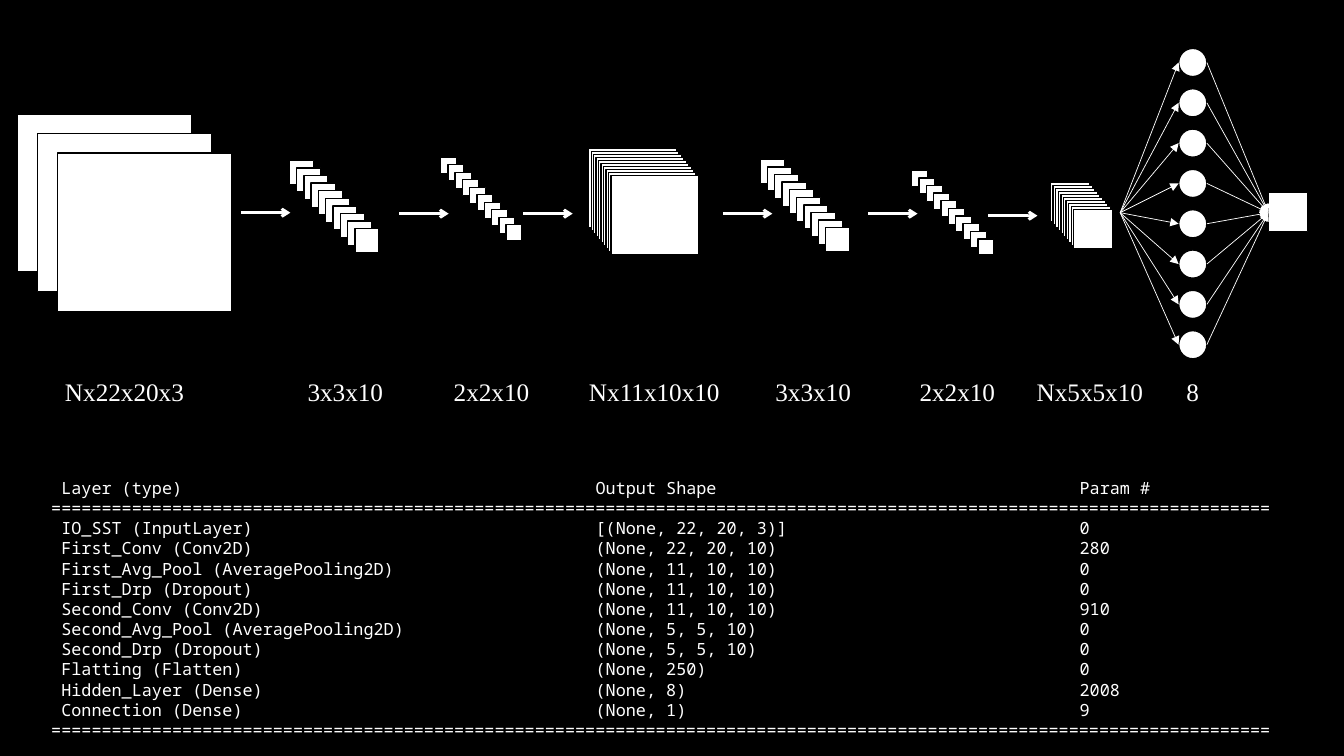
from lxml.etree import SubElement
from pptx import Presentation
from pptx.dml.color import RGBColor
from pptx.enum.shapes import MSO_CONNECTOR, MSO_SHAPE
from pptx.enum.text import MSO_AUTO_SIZE, PP_ALIGN
from pptx.oxml.ns import qn
from pptx.util import Pt

EMU_PER_PX = 9144  # 100 px to the inch
WHITE = RGBColor(0xFF, 0xFF, 0xFF)
BLACK = RGBColor(0x00, 0x00, 0x00)
LABEL_FONT = "Times New Roman"
SUMMARY_FONT = "Noto Sans Mono"

# left, top, width, height, spread across, spread down, count
IMAGE_STACKS = [
    (17, 113, 173, 157, 40, 39, 3),
    (287, 159, 24, 24, 65, 68, 10),
    (437, 156, 16, 16, 65, 67, 10),
    (754, 158, 24, 24, 65, 68, 10),
    (904, 169, 16, 16, 66, 68, 10),
    (584, 147, 87, 79, 22, 27, 10),
    (1042, 181, 39, 39, 23, 27, 10),
]
# left, y
FLOW_ARROWS = [(239, 211), (396, 212), (519, 212), (717, 212), (861, 212), (980, 214)]
FLOW_ARROW_LENGTH = 49

# left, width, text
LABELS = [
    (50, 147, "Nx22x20x3"),
    (292, 101, "3x3x10"),
    (437, 101, "2x2x10"),
    (570, 158, "Nx11x10x10"),
    (756, 101, "3x3x10"),
    (899, 101, "2x2x10"),
    (1016, 130, "Nx5x5x10"),
    (1166, 34, "8"),
]

NEURON_COUNT = 8
NEURON_LEFT, NEURON_TOP, NEURON_SIZE, NEURON_PITCH = 1169, 48, 28, 40
FAN_IN = (1111, 211)
FAN_OUT = (1258, 211)

SUMMARY_TABS = (10, 540, 1020)
RULE = "=" * 121
HEADINGS = ("Layer (type)", "Output Shape", "Param #")
LAYERS = [
    ("IO_SST (InputLayer)", "[(None, 22, 20, 3)]", "0"),
    ("First_Conv (Conv2D)", "(None, 22, 20, 10)", "280"),
    ("First_Avg_Pool (AveragePooling2D)", "(None, 11, 10, 10)", "0"),
    ("First_Drp (Dropout)", "(None, 11, 10, 10)", "0"),
    ("Second_Conv (Conv2D)", "(None, 11, 10, 10)", "910"),
    ("Second_Avg_Pool (AveragePooling2D)", "(None, 5, 5, 10)", "0"),
    ("Second_Drp (Dropout)", "(None, 5, 5, 10)", "0"),
    ("Flatting (Flatten)", "(None, 250)", "0"),
    ("Hidden_Layer (Dense)", "(None, 8)", "2008"),
    ("Connection (Dense)", "(None, 1)", "9"),
]


def px(*lengths):
    return [round(length * EMU_PER_PX) for length in lengths]


def add_block(shapes, kind, left, top, width, height):
    shape = shapes.add_shape(kind, *px(left, top, width, height))
    shape.shadow.inherit = False
    shape.fill.solid()
    shape.fill.fore_color.rgb = WHITE
    shape.line.color.rgb = BLACK
    shape.line.width = Pt(1)


def add_stack(slide, left, top, width, height, across, down, count):
    """Group equal rectangles stepping evenly down to the right."""
    group = slide.shapes.add_group_shape()
    for index in range(count):
        part = index / (count - 1)
        add_block(group.shapes, MSO_SHAPE.RECTANGLE,
                  left + across * part, top + down * part, width, height)


def add_arrow(slide, start, end, width, head):
    connector = slide.shapes.add_connector(
        MSO_CONNECTOR.STRAIGHT, *px(*start, *end))
    connector.line.color.rgb = WHITE
    connector.line.width = Pt(width)
    SubElement(connector.line._get_or_add_ln(), qn("a:tailEnd"), type=head)
    SubElement(connector._element.spPr, qn("a:effectLst"))


def add_neurons(slide):
    """Draw the hidden layer and its arrows from and to single points."""
    group = slide.shapes.add_group_shape()
    for index in range(NEURON_COUNT):
        top = NEURON_TOP + index * NEURON_PITCH
        middle = top + NEURON_SIZE // 2
        add_block(group.shapes, MSO_SHAPE.OVAL,
                  NEURON_LEFT, top, NEURON_SIZE, NEURON_SIZE)
        add_arrow(slide, FAN_IN, (NEURON_LEFT, middle), 0.5, "triangle")
        add_arrow(slide, (NEURON_LEFT + NEURON_SIZE, middle), FAN_OUT,
                  0.5, "triangle")


def set_tab_stops(paragraph, positions):
    tab_list = SubElement(paragraph._p.get_or_add_pPr(), qn("a:tabLst"))
    for position in px(*positions):
        SubElement(tab_list, qn("a:tab"), pos=str(position), algn="l")


def add_text(slide, lines, left, top, width, height, *, font, size,
             align=PP_ALIGN.LEFT, wrap=False, tabs=()):
    text_box = slide.shapes.add_textbox(*px(left, top, width, height))
    frame = text_box.text_frame
    frame.word_wrap = wrap
    frame.auto_size = MSO_AUTO_SIZE.SHAPE_TO_FIT_TEXT
    for index, line in enumerate(lines):
        paragraph = frame.add_paragraph() if index else frame.paragraphs[0]
        paragraph.alignment = align
        if tabs:
            set_tab_stops(paragraph, tabs)
        run = paragraph.add_run()
        run.text = line
        run.font.name = font
        run.font.size = Pt(size)
        run.font.color.rgb = WHITE


def add_summary(slide):
    heading, *rows = ["".join("\t" + cell for cell in row)
                      for row in (HEADINGS, *LAYERS)]
    add_text(slide, [heading, RULE, *rows, RULE], 41, 469, 1250, 273,
             font=SUMMARY_FONT, size=12, wrap=True, tabs=SUMMARY_TABS)


def main():
    presentation = Presentation()
    presentation.slide_width, presentation.slide_height = px(1333, 750)
    slide = presentation.slides.add_slide(presentation.slide_layouts[6])
    slide.background.fill.solid()
    slide.background.fill.fore_color.rgb = BLACK

    for stack in IMAGE_STACKS:
        add_stack(slide, *stack)
    for left, y in FLOW_ARROWS:
        add_arrow(slide, (left, y), (left + FLOW_ARROW_LENGTH, y), 2, "arrow")
    add_block(slide.shapes, MSO_SHAPE.RECTANGLE, 1258, 191, 39, 39)
    add_neurons(slide)
    for left, width, label in LABELS:
        add_text(slide, [label], left, 368, width, 40,
                 font=LABEL_FONT, size=18, align=PP_ALIGN.CENTER)
    add_summary(slide)
    presentation.save("out.pptx")


if __name__ == "__main__":
    main()
